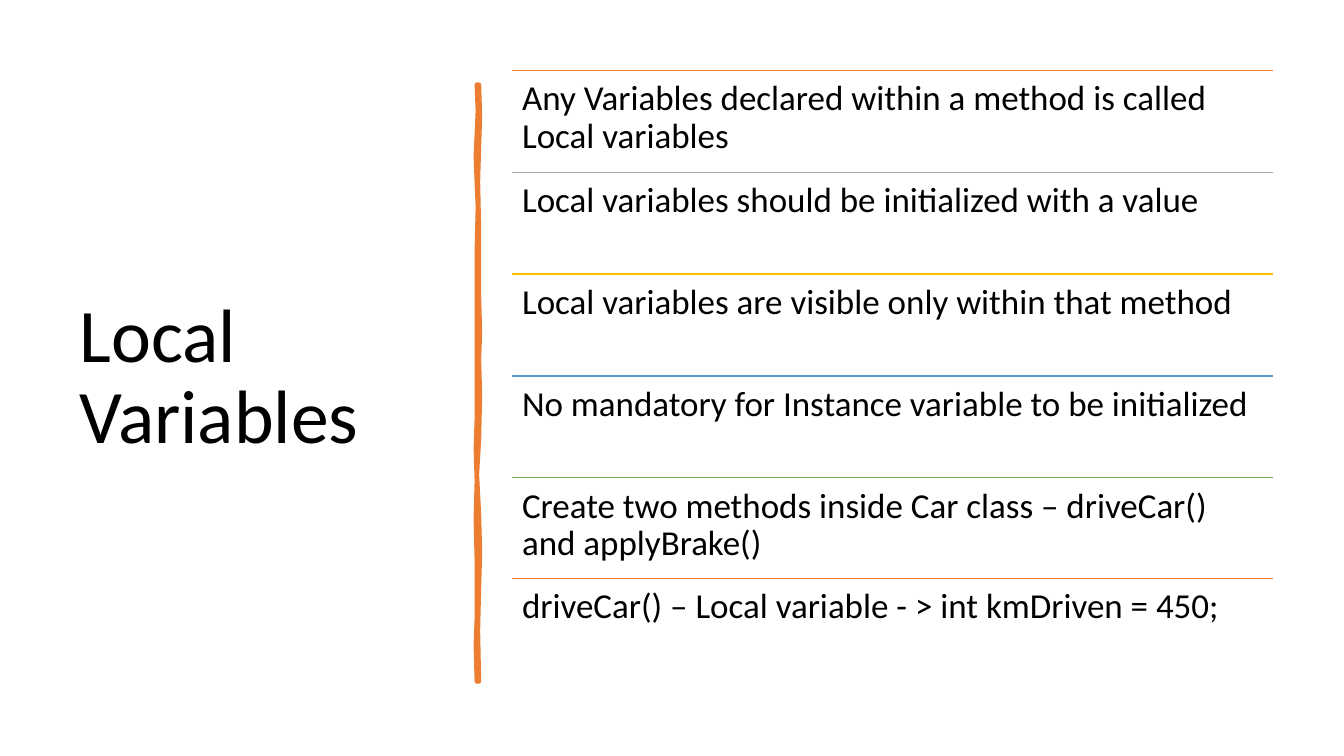
"""Build the Local Variables slide: a title, a hand-drawn bar and six ruled statements."""
from lxml import etree
from pptx import Presentation
from pptx import util as u
from pptx.dml.color import RGBColor
from pptx.enum import shapes, text
from pptx.oxml.ns import qn

PX = u.Inches(1) // 100
COLORS = {
    "black": "000000",
    "orange": "ED7D31",
    "gray": "A5A5A5",
    "gold": "FFC000",
    "blue": "5B9BD5",
    "green": "70AD47",
}


def color(name):
    return RGBColor.from_string(COLORS[name])


def add_text(page, words, left, top, width, height, size, anchor):
    box = page.shapes.add_textbox(left * PX, top * PX, width * PX, height * PX)
    frame = box.text_frame
    frame.word_wrap = True
    frame.vertical_anchor = anchor
    frame.margin_left = frame.margin_right = 10 * PX
    frame.margin_top = frame.margin_bottom = (10 if size < 30 else 5) * PX
    para = frame.paragraphs[0]
    para.text = words
    para.line_spacing = 0.9
    para.font.name = "Calibri"
    para.font.size = u.Pt(size)
    para.font.color.rgb = color("black")


deck = Presentation()
deck.slide_width = 1333 * PX
deck.slide_height = 750 * PX
page = deck.slides.add_slide(deck.slide_layouts[6])

add_text(page, "Local Variables", 69, 70, 374, 611, 54, text.MSO_ANCHOR.MIDDLE)

right_edge = [(475, 84), (476, 115), (475, 146), (474, 180), (475, 226), (475, 294),
              (476, 330), (475, 356), (476, 393), (475, 436), (473, 471), (475, 510),
              (476, 548), (475, 584), (474, 625), (475, 676)]
left_edge = [(473, 676), (472, 640), (473, 613), (473, 557), (472, 515), (473, 477),
             (472, 445), (473, 415), (473, 335), (473, 250), (474, 205), (473, 181),
             (472, 155), (474, 110), (473, 84)]
outline = page.shapes.build_freeform(*right_edge[0], scale=PX)
outline.add_line_segments(right_edge[1:] + left_edge, close=True)
bar = outline.convert_to_shape()
bar.shadow.inherit = False
bar.fill.solid()
bar.fill.fore_color.rgb = color("orange")
bar.line.color.rgb = color("orange")
bar.line.width = u.Pt(3.25)
etree.SubElement(bar.element.spPr.find(qn("a:ln")), qn("a:round"))

statements = [
    ("orange", "Any Variables declared within a method is called Local variables"),
    ("gray", "Local variables should be initialized with a value"),
    ("gold", "Local variables are visible only within that method"),
    ("blue", "No mandatory for Instance variable to be initialized"),
    ("green", "Create two methods inside Car class – driveCar() and applyBrake()"),
    ("orange", "driveCar() – Local variable - > int kmDriven = 450;"),
]
LEFT, TOP, WIDTH, PITCH = 508, 70, 755, 100.9
for index, (shade, words) in enumerate(statements):
    top = TOP + round(PITCH * index)
    rule = page.shapes.add_connector(
        shapes.MSO_CONNECTOR.STRAIGHT, LEFT * PX, top * PX, (LEFT + WIDTH) * PX, top * PX)
    rule.line.color.rgb = color(shade)
    rule.line.width = u.Pt(1)
    etree.SubElement(rule.element.spPr, qn("a:effectLst"))
    add_text(page, words, LEFT, top, WIDTH, 101, 25, text.MSO_ANCHOR.TOP)

deck.save("out.pptx")
